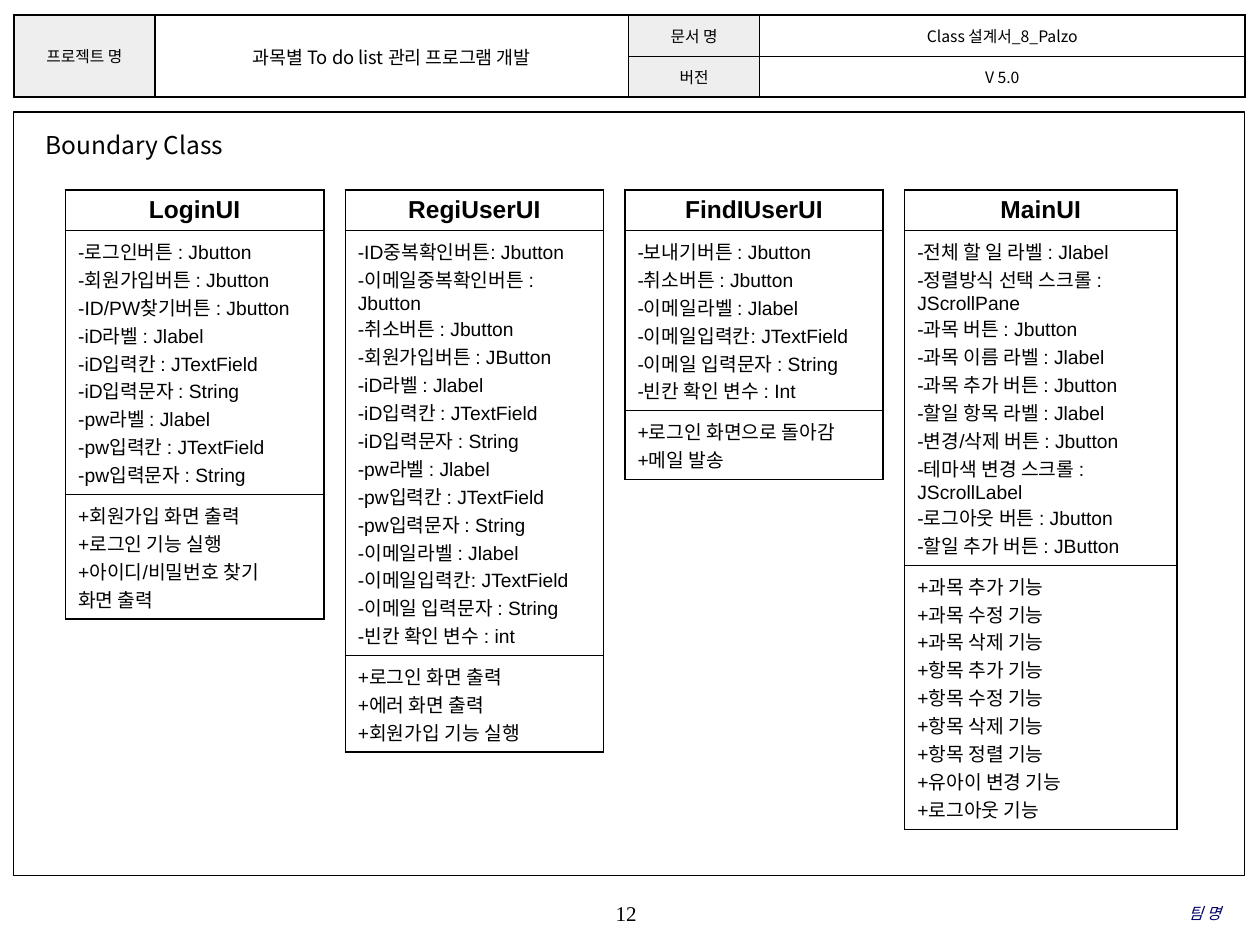
from dataclasses import dataclass
from typing import Optional

from lxml import etree
from pptx import Presentation
from pptx.dml.color import RGBColor
from pptx.enum.shapes import MSO_SHAPE
from pptx.enum.text import MSO_ANCHOR, MSO_AUTO_SIZE, PP_ALIGN
from pptx.oxml.ns import qn
from pptx.util import Inches, Pt

LEFT, CENTER, RIGHT = PP_ALIGN.LEFT, PP_ALIGN.CENTER, PP_ALIGN.RIGHT
MIDDLE, NO_AUTOFIT, RECTANGLE = MSO_ANCHOR.MIDDLE, MSO_AUTO_SIZE.NONE, MSO_SHAPE.RECTANGLE
TITLE_ONLY_LAYOUT = 5

# Lengths in inches
SLIDE_WIDTH, SLIDE_HEIGHT = 10, 7.5
MARGIN, CONTENT_WIDTH = 0.11, 9.77
CLASS_LEFT, CLASS_TOP, CLASS_PITCH = 0.52, 1.51, 2.22
NAME_HEIGHT, LINE_HEIGHT, CELL_PADDING = 0.32, 0.22, 0.1


@dataclass(frozen=True)
class TextStyle:
    """Type size, face, colour and alignment of a paragraph."""
    size: float
    font: str
    color: str = "000000"
    align: PP_ALIGN = LEFT
    bold: bool = False
    italic: bool = False


@dataclass(frozen=True)
class Theme:
    """Colours and type styles of the slide."""
    line: str = "000000"
    label_fill: str = "EEEEEE"
    class_fill: str = "FFFFFF"
    korean_font: str = "Noto Sans CJK KR"
    title: TextStyle = TextStyle(14, "Noto Sans CJK KR")
    header: TextStyle = TextStyle(9, "Noto Sans CJK KR", align=CENTER)
    project: TextStyle = TextStyle(10.5, "Noto Sans CJK KR", align=CENTER)
    class_name: TextStyle = TextStyle(14, "Arial", align=CENTER, bold=True)
    member: TextStyle = TextStyle(11, "Arial")
    page: TextStyle = TextStyle(12, "Times New Roman", align=CENTER)
    team: TextStyle = TextStyle(9, "Times New Roman", "000066", RIGHT, italic=True)


@dataclass(frozen=True)
class ClassBox:
    """A class with its attributes, its methods and the width of its box."""
    name: str
    attributes: tuple[str, ...]
    methods: tuple[str, ...]
    width: float = 2.05


THEME = Theme()
ACCOUNT_FIELDS = ("-iD라벨 : Jlabel", "-iD입력칸 : JTextField", "-iD입력문자 : String",
                  "-pw라벨 : Jlabel", "-pw입력칸 : JTextField", "-pw입력문자 : String")
EMAIL_FIELDS = ("-이메일라벨 : Jlabel", "-이메일입력칸: JTextField", "-이메일 입력문자 : String")

CLASSES = (
    ClassBox("LoginUI",
             ("-로그인버튼 : Jbutton", "-회원가입버튼 : Jbutton",
              "-ID/PW찾기버튼 : Jbutton", *ACCOUNT_FIELDS),
             ("+회원가입 화면 출력", "+로그인 기능 실행", "+아이디/비밀번호 찾기", "화면 출력")),
    ClassBox("RegiUserUI",
             ("-ID중복확인버튼: Jbutton", "-이메일중복확인버튼 : Jbutton",
              "-취소버튼 : Jbutton", "-회원가입버튼 : JButton",
              *ACCOUNT_FIELDS, *EMAIL_FIELDS, "-빈칸 확인 변수 : int"),
             ("+로그인 화면 출력", "+에러 화면 출력", "+회원가입 기능 실행")),
    ClassBox("FindIUserUI",
             ("-보내기버튼 : Jbutton", "-취소버튼 : Jbutton",
              *EMAIL_FIELDS, "-빈칸 확인 변수 : Int"),
             ("+로그인 화면으로 돌아감", "+메일 발송")),
    ClassBox("MainUI",
             ("-전체 할 일 라벨 : Jlabel", "-정렬방식 선택 스크롤 : JScrollPane",
              "-과목 버튼 : Jbutton", "-과목 이름 라벨 : Jlabel",
              "-과목 추가 버튼 : Jbutton", "-할일 항목 라벨 : Jlabel",
              "-변경/삭제 버튼 : Jbutton", "-테마색 변경 스크롤 : JScrollLabel",
              "-로그아웃 버튼 : Jbutton", "-할일 추가 버튼 : JButton"),
             ("+과목 추가 기능", "+과목 수정 기능", "+과목 삭제 기능",
              "+항목 추가 기능", "+항목 수정 기능", "+항목 삭제 기능",
              "+항목 정렬 기능", "+유아이 변경 기능", "+로그아웃 기능"), 2.16),
)


def write_text(text_frame, lines: tuple[str, ...], style: TextStyle) -> None:
    """Fill a text frame with one paragraph per line."""
    text_frame.text = "\n".join(lines)
    for paragraph in text_frame.paragraphs:
        paragraph.alignment = style.align
        font = paragraph.font
        font.size, font.name = Pt(style.size), style.font
        font.bold, font.italic = style.bold, style.italic
        font.color.rgb = RGBColor.from_string(style.color)
        defaults = paragraph._p.pPr.find(qn("a:defRPr"))
        etree.SubElement(defaults, qn("a:ea"), typeface=THEME.korean_font)


def set_margins(target, horizontal: float, vertical: float) -> None:
    """Set the inner margins of a text frame or table cell."""
    target.margin_left = target.margin_right = Inches(horizontal)
    target.margin_top = target.margin_bottom = Inches(vertical)


def draw_borders(cell) -> None:
    """Draw a one-point line on each side of a cell."""
    properties = cell._tc.get_or_add_tcPr()
    for position, side in enumerate(("lnL", "lnR", "lnT", "lnB")):
        line = etree.Element(qn(f"a:{side}"), w=str(Pt(1)))
        fill = etree.SubElement(line, qn("a:solidFill"))
        etree.SubElement(fill, qn("a:srgbClr"), val=THEME.line)
        properties.insert(position, line)


def add_grid(slide, left: float, top: float, widths: tuple[float, ...],
             heights: tuple[float, ...]):
    """Add a plain bordered table and return it."""
    frame = slide.shapes.add_table(len(heights), len(widths), Inches(left), Inches(top),
                                   Inches(sum(widths)), Inches(sum(heights)))
    table = frame.table
    table.first_row = table.horz_banding = False
    for column, width in zip(table.columns, widths):
        column.width = Inches(width)
    for row, height in zip(table.rows, heights):
        row.height = Inches(height)
    for cell in table.iter_cells():
        cell.fill.background()
        draw_borders(cell)
    return table


def fill_cell(cell, lines: tuple[str, ...], style: TextStyle,
              fill: Optional[str] = None) -> None:
    """Write text into a vertically centred cell and colour it."""
    write_text(cell.text_frame, lines, style)
    cell.vertical_anchor = MIDDLE
    if fill:
        cell.fill.solid()
        cell.fill.fore_color.rgb = RGBColor.from_string(fill)


def add_document_header(slide) -> None:
    """Add the table that names project, document and version."""
    table = add_grid(slide, MARGIN, 0.12, (1.12, 3.76, 1.04, 3.85), (0.33, 0.32))
    for column in (0, 1):
        table.cell(0, column).merge(table.cell(1, column))
    for row, column, text, style, fill in (
            (0, 0, "프로젝트 명", THEME.header, THEME.label_fill),
            (0, 1, "과목별 To do list 관리 프로그램 개발", THEME.project, None),
            (0, 2, "문서 명", THEME.header, THEME.label_fill),
            (0, 3, "Class 설계서_8_Palzo", THEME.header, None),
            (1, 2, "버전", THEME.header, THEME.label_fill),
            (1, 3, "V 5.0", THEME.header, None)):
        cell = table.cell(row, column)
        fill_cell(cell, (text,), style, fill)
        set_margins(cell, 0.04, 0.02)


def add_content_frame(slide) -> None:
    """Outline the content area."""
    shape = slide.shapes.add_shape(RECTANGLE, Inches(MARGIN), Inches(0.89),
                                   Inches(CONTENT_WIDTH), Inches(6.06))
    shape.shadow.inherit = False
    shape.fill.background()
    shape.line.color.rgb = RGBColor.from_string(THEME.line)
    shape.line.width = Pt(0.75)


def add_class(slide, position: int, box: ClassBox) -> None:
    """Add a class box in the given column of the diagram."""
    sections = (((box.name,), THEME.class_name), (box.attributes, THEME.member),
                (box.methods, THEME.member))
    heights = (NAME_HEIGHT, *(CELL_PADDING + LINE_HEIGHT * len(lines)
                              for lines, _ in sections[1:]))
    table = add_grid(slide, CLASS_LEFT + CLASS_PITCH * position, CLASS_TOP,
                     (box.width,), heights)
    for row, (lines, style) in enumerate(sections):
        fill_cell(table.cell(row, 0), lines, style, THEME.class_fill)


def add_footer_text(slide, left: float, width: float, text: str, style: TextStyle) -> None:
    """Add a line of text at the foot of the slide."""
    shape = slide.shapes.add_textbox(Inches(left), Inches(7.08), Inches(width), Inches(0.33))
    shape.text_frame.word_wrap = True
    shape.text_frame.vertical_anchor = MIDDLE
    set_margins(shape.text_frame, 0, 0)
    write_text(shape.text_frame, (text,), style)


def add_title(slide, text: str) -> None:
    """Move the title placeholder into the content area and fill it."""
    title = slide.shapes.title
    title.left, title.top = Inches(0.26), Inches(0.98)
    title.width, title.height = Inches(1.86), Inches(0.34)
    title.text_frame.auto_size = NO_AUTOFIT
    title.text_frame.vertical_anchor = MIDDLE
    write_text(title.text_frame, (text,), THEME.title)


def main() -> None:
    """Build and save the slide."""
    presentation = Presentation()
    presentation.slide_width, presentation.slide_height = Inches(SLIDE_WIDTH), Inches(SLIDE_HEIGHT)
    slide = presentation.slides.add_slide(presentation.slide_layouts[TITLE_ONLY_LAYOUT])
    add_title(slide, "Boundary Class")
    add_document_header(slide)
    add_content_frame(slide)
    for position, box in enumerate(CLASSES):
        add_class(slide, position, box)
    add_footer_text(slide, 3.93, 2.08, "12", THEME.page)
    add_footer_text(slide, 6.63, 3.06, "팀 명", THEME.team)
    presentation.save("out.pptx")


main()
